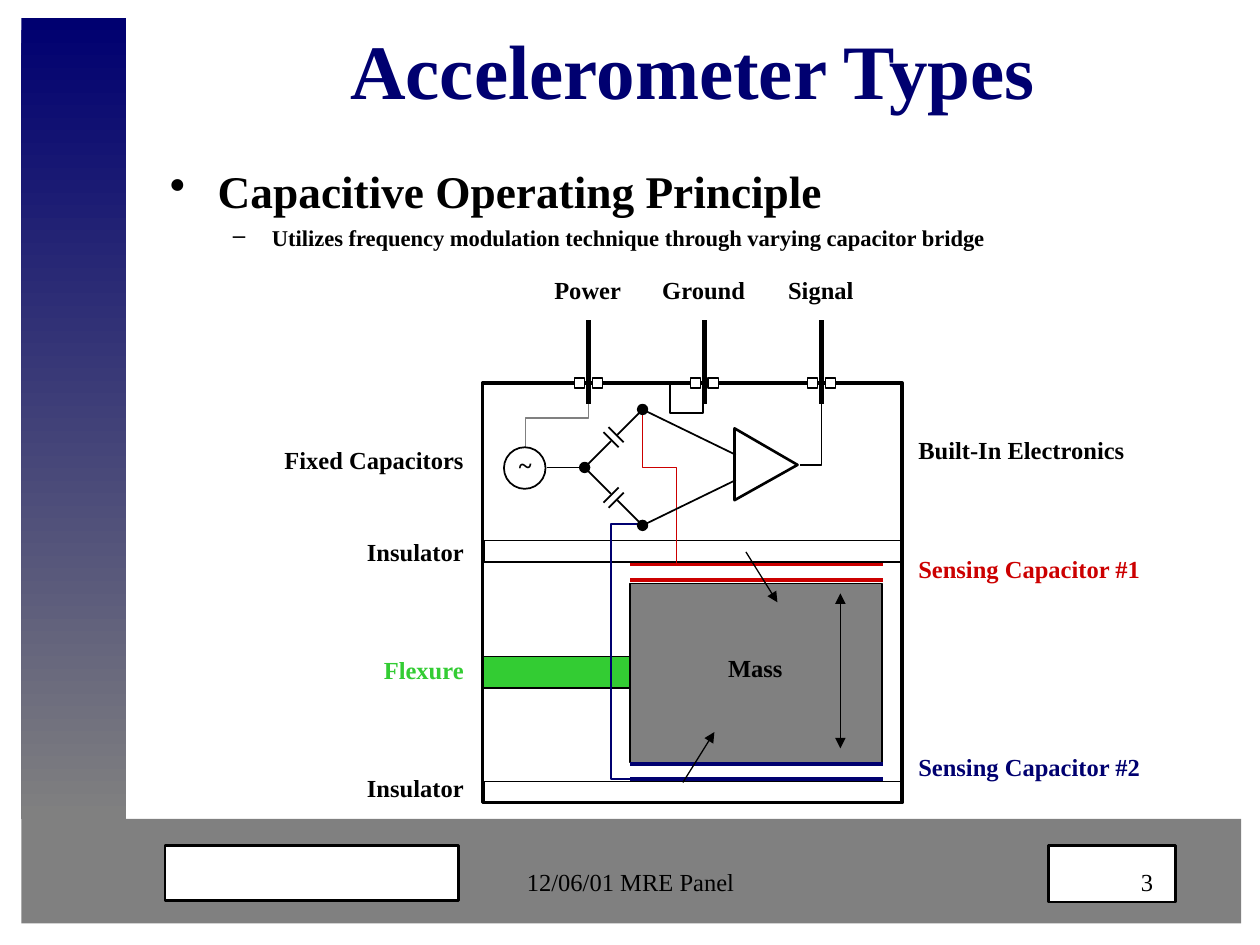
from dataclasses import dataclass
from itertools import product

from lxml.etree import SubElement
from pptx import Presentation
from pptx.dml.color import RGBColor
from pptx.enum.shapes import MSO_CONNECTOR as Connector, MSO_SHAPE as Preset
from pptx.enum.text import MSO_ANCHOR as Anchor, MSO_AUTO_SIZE as AutoSize, PP_ALIGN as Align
from pptx.oxml.ns import qn
from pptx.util import Inches, Pt

NAVY = RGBColor(0x00, 0x00, 0x70)
GRAY = RGBColor(0x80, 0x80, 0x80)
BLACK = RGBColor(0x00, 0x00, 0x00)
WHITE = RGBColor(0xFF, 0xFF, 0xFF)
GREEN = RGBColor(0x33, 0xCC, 0x33)
RED = RGBColor(0xCC, 0x00, 0x00)

LABEL = {"space_before": Pt(8.8)}
TIGHT = {"space_before": Pt(8.8), "line_spacing": 0.75}


def apply(target, formats):
    for name, value in formats.items():
        setattr(target, name, value)


def style_font(font, size, color=BLACK, bold=True):
    apply(font, {"name": "Times New Roman", "size": Pt(size), "bold": bold})
    font.color.rgb = color


def style_line(line, color, width):
    if color is None:
        line.fill.background()
    else:
        line.color.rgb = color
        line.width = Pt(width)


@dataclass
class Region:
    shapes: object
    left: float
    top: float

    def at(self, x, y):
        return Inches(self.left + x), Inches(self.top + y)

    def inner(self, x, y):
        return Region(self.shapes, self.left + x, self.top + y)

    def block(self, x, y, width, height, fill=None, line=BLACK, weight=0.75, preset=Preset.RECTANGLE):
        block = self.shapes.add_shape(preset, *self.at(x, y), Inches(width), Inches(height))
        block.shadow.inherit = False
        if fill is None:
            block.fill.background()
        else:
            block.fill.solid()
            block.fill.fore_color.rgb = fill
        style_line(block.line, line, weight)
        return block

    def dot(self, x, y):
        self.block(x - 0.04, y - 0.04, 0.08, 0.08, BLACK, preset=Preset.OVAL)

    def line(self, start, end, color=BLACK, weight=1, arrows=()):
        line = self.shapes.add_connector(Connector.STRAIGHT, *self.at(*start), *self.at(*end))
        style_line(line.line, color, weight)
        properties = line.element.spPr
        for arrow in arrows:
            SubElement(properties.find(qn("a:ln")), qn(f"a:{arrow}End"), type="triangle")
        SubElement(properties, qn("a:effectLst"))

    def wire(self, points, color=BLACK, weight=1, close=False):
        start, *others = [self.at(*point) for point in points]
        builder = self.shapes.build_freeform(*start)
        builder.add_line_segments(others, close=close)
        wire = builder.convert_to_shape()
        wire.shadow.inherit = False
        wire.fill.background()
        style_line(wire.line, color, weight)

    def text(self, words, x, y, width, height, align=Align.LEFT, color=BLACK, bold=True, formats=None):
        frame = self.shapes.add_textbox(*self.at(x, y), Inches(width), Inches(height)).text_frame
        frame.word_wrap = True
        if formats:
            frame.auto_size = AutoSize.SHAPE_TO_FIT_TEXT
        paragraph = frame.paragraphs[0]
        apply(paragraph, {"text": words, "alignment": align, **(formats or {})})
        style_font(paragraph.runs[0].font, 14, color, bold)


def add_sidebar(region):
    sidebar = region.block(0, 0, 0.83, 6.36, line=None)
    sidebar.fill.gradient()
    sidebar.fill.gradient_angle = 270
    for stop, color in zip(sidebar.fill.gradient_stops, (NAVY, GRAY)):
        stop.color.rgb = color


def add_footer(region):
    region.block(0, 0, 9.68, 0.83, GRAY, None)
    region.block(1.14, 0.21, 2.33, 0.44, WHITE, weight=1.5)
    region.block(8.15, 0.21, 1.01, 0.45, WHITE, weight=1.5)
    region.text("12/06/01 MRE Panel", 3.25, 0.33, 3.17, 0.5, Align.CENTER, bold=False)
    region.text("3", 7, 0.33, 2.08, 0.5, Align.RIGHT, bold=False)


def add_title(title, left, top):
    apply(title, {"left": Inches(left), "top": Inches(top), "width": Inches(8.5), "height": Inches(1.25)})
    apply(title.text_frame, {"text": "Accelerometer Types", "word_wrap": True,
                             "auto_size": AutoSize.NONE, "vertical_anchor": Anchor.MIDDLE})
    heading = title.text_frame.paragraphs[0]
    heading.alignment = Align.CENTER
    style_font(heading.runs[0].font, 44, NAVY)


def add_principle(region):
    frame = region.shapes.add_textbox(*region.at(0, 0), Inches(8.5), Inches(0.83)).text_frame
    frame.word_wrap = True
    points = (
        ("Capacitive Operating Principle", 25.9, 7, "•", 0.38, 0.38),
        ("Utilizes frequency modulation technique through varying capacitor bridge", 12.9, 3.5, "–", 0.81, 0.31),
    )
    for level, (words, size, before, bullet, margin, hanging) in enumerate(points):
        paragraph = frame.add_paragraph() if level else frame.paragraphs[0]
        apply(paragraph, {"text": words, "level": level, "space_before": Pt(before)})
        style_font(paragraph.runs[0].font, size)
        properties = paragraph._p.get_or_add_pPr()
        properties.set("marL", str(Inches(margin)))
        properties.set("indent", str(-Inches(hanging)))
        SubElement(SubElement(properties, qn("a:buClr")), qn("a:srgbClr"), val=str(BLACK))
        SubElement(properties, qn("a:buChar"), char=bullet)


def add_mass(region):
    region.block(0, 2.17, 1.58, 0.25, GREEN)
    region.block(1.17, 1.59, 2, 1.42, GRAY)
    region.text("Mass", 1.75, 2.09, 0.83, 0.34, Align.CENTER, formats=LABEL)
    for y, color in ((1.44, RED), (1.56, RED), (3.02, NAVY), (3.14, NAVY)):
        region.line((1.17, y), (3.18, y), color, 2.25)
    for y in (1.25, 3.16):
        region.block(0.01, y, 3.32, 0.17, WHITE)
    region.line((2.09, 1.34), (2.34, 1.74), weight=0.75, arrows=("tail",))
    region.line((1.59, 3.17), (1.84, 2.77), weight=0.75, arrows=("tail",))
    region.line((2.84, 1.67), (2.84, 2.9), arrows=("head", "tail"))


def add_bridge(region):
    region.block(-0.64, -0.16, 0.33, 0.33, weight=1, preset=Preset.OVAL)
    region.text("~", -0.62, -0.13, 0.25, 0.28, formats=TIGHT)
    region.line((-0.3, 0), (0, 0))
    region.dot(0, 0)
    arm = (
        ((0, 0), (0.21, 0.21)),
        ((0.26, 0.26), (0.47, 0.47)),
        ((0.27, 0.16), (0.15, 0.28)),
        ((0.31, 0.2), (0.19, 0.32)),
        ((0.46, 0.46), (1.2, 0.1)),
    )
    for side, ((x1, y1), (x2, y2)) in product((-1, 1), arm):
        region.line((x1, side * y1), (x2, side * y2))
    for side in (-1, 1):
        region.dot(0.46, side * 0.46)
    region.wire([(1.19, -0.31), (1.69, -0.02), (1.19, 0.26)], weight=1.5, close=True)


def add_wiring(region):
    region.wire([(1.75, 0.16), (1.75, 0.24), (1.49, 0.24), (1.49, 0)])
    region.wire([(0.84, 0.16), (0.84, 0.28), (0.34, 0.28), (0.34, 0.51)], GRAY)
    region.wire([(1.18, 3.14), (1.02, 3.14), (1.02, 1.12), (1.25, 1.12)], NAVY)
    region.wire([(1.27, 0.25), (1.27, 0.67), (1.54, 0.67), (1.54, 1.44)], RED)
    region.wire([(2.69, 0.17), (2.69, 0.65), (2.52, 0.65)])


def add_pin(region, name):
    region.text(name, -0.59, -0.91, 1.17, 0.34, Align.CENTER, formats=LABEL)
    region.line((0, -0.5), (0, 0.17), weight=3)
    for x in (-0.11, 0.03):
        region.block(x, -0.04, 0.08, 0.08, WHITE)


def add_sensor(region):
    add_mass(region)
    region.block(0, 0, 3.33, 3.33, weight=2.25)
    add_wiring(region)
    add_bridge(region.inner(0.81, 0.67))
    for x, name in ((0.84, "Power"), (1.76, "Ground"), (2.69, "Signal")):
        add_pin(region.inner(x, 0), name)


def add_callouts(region, width, align, callouts):
    for y, words, color in callouts:
        region.text(words, 0, y, width, 0.28, align, color, formats=TIGHT)


def main():
    deck = Presentation()
    apply(deck, {"slide_width": Inches(10), "slide_height": Inches(7.5)})
    slide = deck.slides.add_slide(deck.slide_layouts[5])
    page = Region(slide.shapes, 0, 0)
    add_sidebar(page.inner(0.17, 0.14))
    add_footer(page.inner(0.17, 6.5))
    add_title(slide.shapes.title, 1.25, -0.08)
    add_principle(page.inner(1.25, 1.25))
    add_sensor(page.inner(3.83, 3.04))
    add_callouts(page.inner(1.95, 3.54), 1.83, Align.RIGHT, (
        (0, "Fixed Capacitors", BLACK), (0.73, "Insulator", BLACK),
        (1.66, "Flexure", GREEN), (2.6, "Insulator", BLACK)))
    add_callouts(page.inner(7.19, 3.46), 2, Align.LEFT, (
        (0, "Built-In Electronics", BLACK), (0.94, "Sensing Capacitor #1", RED),
        (2.51, "Sensing Capacitor #2", NAVY)))
    deck.save("out.pptx")


if __name__ == "__main__":
    main()
